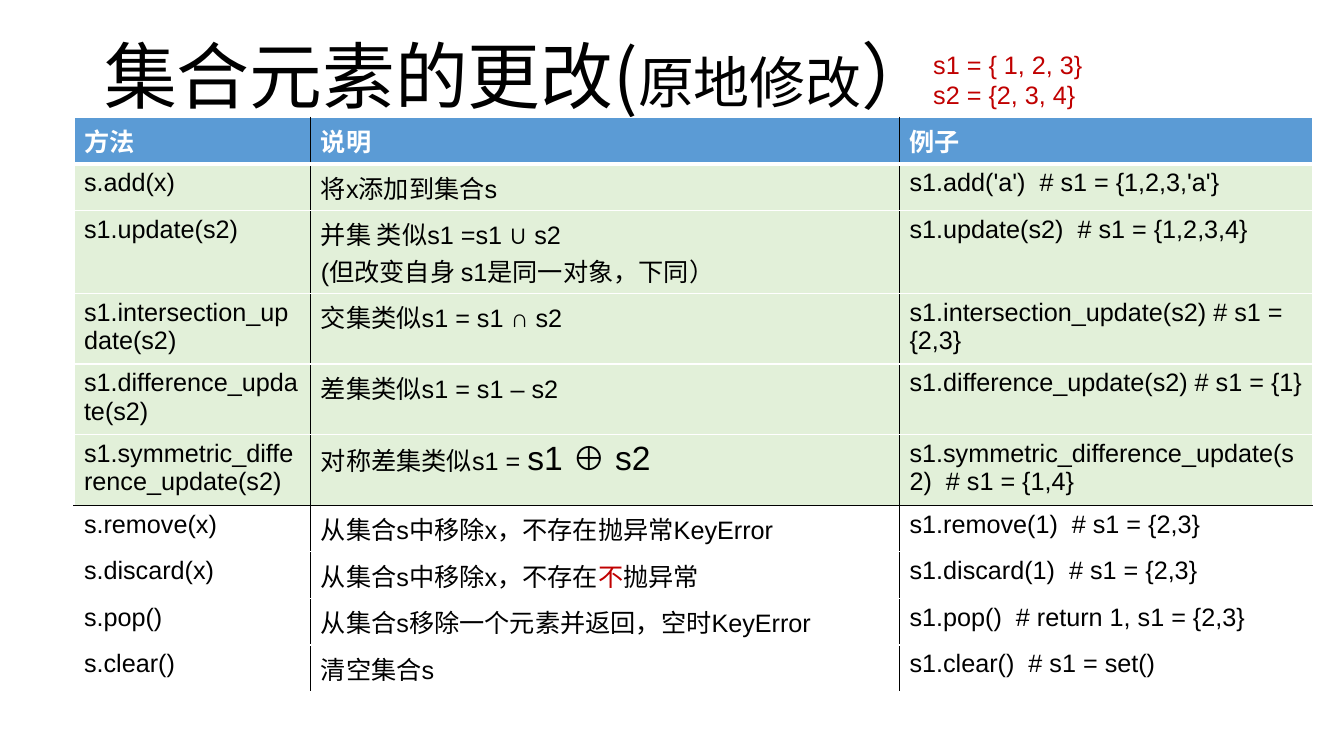
from lxml.etree import SubElement
from pptx import Presentation
from pptx.dml.color import RGBColor
from pptx.enum.text import MSO_ANCHOR
from pptx.oxml.ns import qn
from pptx.util import Pt

COLORS = {"ink": "000000", "paper": "FFFFFF", "header": "5B9BD5",
          "set_operation": "E2F0D9", "accent": "C00000"}
LATIN, CHINESE = "Arial", "Noto Sans CJK SC"
BODY_SIZE = 18

TITLE = [("集合元素的更改(", {}), ("原地修改", {"size": 40}), ("）", {})]
SAMPLE_SETS = ["s1 = { 1, 2, 3}", "s2 = {2, 3, 4}"]
HEADINGS = ("方法", "说明", "例子")
METHODS = [
    ("s.add(x)", ["将x添加到集合s"], "s1.add('a')  # s1 = {1,2,3,'a'}"),
    ("s1.update(s2)", ["并集 类似s1 =s1 ∪ s2", "(但改变自身 s1是同一对象，下同）"],
     "s1.update(s2)  # s1 = {1,2,3,4}"),
    ("s1.intersection_update(s2)", ["交集类似s1 = s1 ∩ s2"],
     "s1.intersection_update(s2) # s1 = {2,3}"),
    ("s1.difference_update(s2)", ["差集类似s1 = s1 – s2"],
     "s1.difference_update(s2) # s1 = {1}"),
    ("s1.symmetric_difference_update(s2)",
     [[("对称差集类似s1 = ", {}), ("s1 ⊕ s2", {"size": 24})]],
     "s1.symmetric_difference_update(s2)  # s1 = {1,4}"),
    ("s.remove(x)", ["从集合s中移除x，不存在抛异常KeyError"], "s1.remove(1)  # s1 = {2,3}"),
    ("s.discard(x)",
     [[("从集合s中移除x，不存在", {}), ("不", {"color": "accent"}), ("抛异常", {})]],
     "s1.discard(1)  # s1 = {2,3}"),
    ("s.pop()", ["从集合s移除一个元素并返回，空时KeyError"], "s1.pop()  # return 1, s1 = {2,3}"),
    ("s.clear()", ["清空集合s"], "s1.clear()  # s1 = set()"),
]
LAST_SET_OPERATION = 5
COLUMN_WIDTHS = (169.2, 420.5, 295.2)
ONE_LINE, TWO_LINES, TWO_CHINESE_LINES = 33.3, 47.5, 59.3
ROW_HEIGHTS = [ONE_LINE] * 2 + [TWO_CHINESE_LINES] + [TWO_LINES] * 3 + [ONE_LINE] * 4


def rgb(color):
    return RGBColor.from_string(COLORS[color])


def write(frame, lines, size=BODY_SIZE, color="ink", bold=False, latin=LATIN):
    for index, line in enumerate(lines):
        paragraph = frame.add_paragraph() if index else frame.paragraphs[0]
        font = paragraph.font
        font.size, font.bold, font.name = Pt(size), bold, latin
        font.color.rgb = rgb(color)
        defaults = paragraph._p.pPr.find(qn("a:defRPr"))
        SubElement(defaults, qn("a:ea"), typeface=CHINESE)
        for text, changes in [(line, {})] if isinstance(line, str) else line:
            run = paragraph.add_run()
            run.text = text
            if "size" in changes:
                run.font.size = Pt(changes["size"])
            if "color" in changes:
                run.font.color.rgb = rgb(changes["color"])


def add_text(slide, left, top, width, height):
    frame = slide.shapes.add_textbox(Pt(left), Pt(top), Pt(width), Pt(height)).text_frame
    frame.word_wrap = True
    return frame


def set_borders(cell, borders):
    properties = cell._tc.get_or_add_tcPr()
    for side, (color, width) in borders.items():
        line = SubElement(properties, qn(f"a:ln{side}"), w=str(Pt(width)))
        SubElement(SubElement(line, qn("a:solidFill")), qn("a:srgbClr"), val=COLORS[color])


def row_edge(row):
    if row == 0:
        return "paper", 3
    return ("ink" if row == LAST_SET_OPERATION else "paper"), 1


def column_edge(column):
    return ("ink" if 0 <= column < len(HEADINGS) - 1 else "paper"), 1


def add_methods_table(slide):
    rows = [tuple([heading] for heading in HEADINGS)]
    rows += [([method], meaning, [example]) for method, meaning, example in METHODS]
    table = slide.shapes.add_table(len(rows), len(HEADINGS), Pt(52.8), Pt(83.8),
                                   Pt(sum(COLUMN_WIDTHS)), Pt(sum(ROW_HEIGHTS))).table
    table.horz_banding = False
    for column, width in zip(table.columns, COLUMN_WIDTHS):
        column.width = Pt(width)
    for row, (height, contents) in enumerate(zip(ROW_HEIGHTS, rows)):
        table.rows[row].height = Pt(height)
        for column, lines in enumerate(contents):
            cell = table.cell(row, column)
            top = row_edge(row - 1) if row else ("paper", 1)
            set_borders(cell, {"L": column_edge(column - 1), "R": column_edge(column),
                               "T": top, "B": row_edge(row)})
            if row > LAST_SET_OPERATION:
                cell.fill.background()
            else:
                cell.fill.solid()
                cell.fill.fore_color.rgb = rgb("set_operation" if row else "header")
            write(cell.text_frame, lines, color="ink" if row else "paper", bold=row == 0)


def main():
    """Build the slide on in-place set methods."""
    deck = Presentation()
    deck.slide_width, deck.slide_height = Pt(960), Pt(540)
    slide = deck.slides.add_slide(deck.slide_layouts[6])
    title = add_text(slide, 66, 5, 828, 104.4)
    title.vertical_anchor = MSO_ANCHOR.MIDDLE
    title.margin_left = title.margin_right = Pt(8.5)
    title.margin_top = title.margin_bottom = Pt(4.25)
    write(title, [TITLE], size=52, latin=CHINESE)
    title.paragraphs[0].line_spacing = 0.9
    add_methods_table(slide)
    write(add_text(slide, 659.5, 31.7, 277.2, 51), SAMPLE_SETS, color="accent")
    deck.save("out.pptx")


if __name__ == "__main__":
    main()
